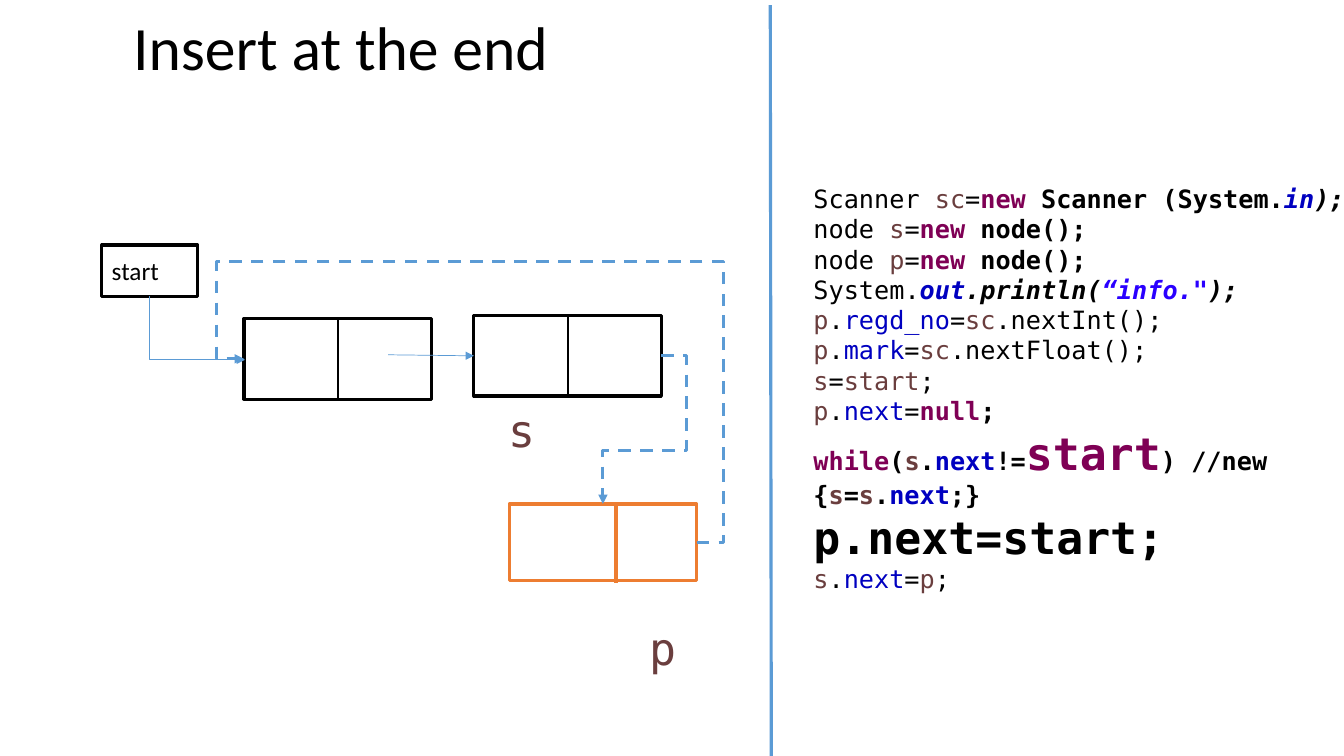
from lxml import etree
from pptx import Presentation
from pptx import util as u
from pptx.dml.color import RGBColor
from pptx.enum import dml, shapes, text
from pptx.oxml import ns

COLORS = {"black": "000000", "white": "FFFFFF", "blue": "5B9BD5", "orange": "ED7D31",
          "variable": "6A3E3E", "keyword": "7F0055", "field": "0000C0", "string": "2A00FF"}
MONO, SANS = "DejaVu Sans Mono", "Calibri"
INKS = {"x": "black", "v": "variable", "k": "keyword", "f": "field", "s": "string"}


def color(name):
    return RGBColor.from_string(COLORS[name])


class Sheet:
    def __init__(self, deck):
        self.page = deck.slides.add_slide(deck.slide_layouts[5])

    def style(self, para, font, size, ink=None):
        para.font.name, para.font.size = font, u.Pt(size)
        if ink:
            para.font.color.rgb = color(ink)

    def title(self, words, left, top, width, height):
        box = self.page.shapes.title
        box.left, box.top, box.width, box.height = map(u.Inches, (left, top, width, height))
        frame = box.text_frame
        frame.text = words
        frame.vertical_anchor = text.MSO_ANCHOR.TOP
        frame.auto_size = text.MSO_AUTO_SIZE.NONE
        para = frame.paragraphs[0]
        para.alignment, para.line_spacing = text.PP_ALIGN.LEFT, 0.9
        self.style(para, SANS, 44, "black")

    def box(self, left, top, width, height, edge="black", words=""):
        box = self.page.shapes.add_shape(
            shapes.MSO_SHAPE.RECTANGLE, *map(u.Inches, (left, top, width, height)))
        box.shadow.inherit = False
        box.fill.solid()
        box.fill.fore_color.rgb = color("white")
        box.line.color.rgb, box.line.width = color(edge), u.Pt(2.25)
        if words:
            box.text_frame.text = words
            self.style(box.text_frame.paragraphs[0], SANS, 18, "black")

    def line(self, start, end, ink, weight, arrow=False, dashed=False,
             bend=None, adjust=(), turn=0):
        kind = shapes.MSO_CONNECTOR.ELBOW if bend else shapes.MSO_CONNECTOR.STRAIGHT
        line = self.page.shapes.add_connector(kind, *map(u.Inches, start + end))
        line.line.color.rgb, line.line.width = color(ink), u.Pt(weight)
        if dashed:
            line.line.dash_style = dml.MSO_LINE.DASH
        props = line._element.spPr
        if arrow:
            etree.SubElement(props.find(ns.qn("a:ln")), ns.qn("a:tailEnd"), type="triangle")
        etree.SubElement(props, ns.qn("a:effectLst"))
        if bend:
            shape = props.find(ns.qn("a:prstGeom"))
            shape.set("prst", f"bentConnector{bend}")
            guides = shape.find(ns.qn("a:avLst"))
            for number, share in enumerate(adjust, 1):
                etree.SubElement(guides, ns.qn("a:gd"), name=f"adj{number}",
                                 fmla=f"val {round(share * 100000)}")
        if turn:
            props.find(ns.qn("a:xfrm")).set("rot", str(turn * 60000))

    def node(self, left, top, width, height, split, edge="black", weight=1.5, drop=0):
        self.box(left, top, width, height, edge)
        self.line((left + split, top + drop), (left + split, top + drop + height), edge, weight)

    def words(self, left, top, width, height, wrap=False):
        box = self.page.shapes.add_textbox(*map(u.Inches, (left, top, width, height)))
        box.text_frame.word_wrap = wrap
        return box.text_frame

    def label(self, name, left, top):
        para = self.words(left, top, 0.45, 0.64).paragraphs[0]
        para.text = name
        self.style(para, MONO, 32, "variable")

    def code(self, lines, left, top, width, height):
        frame = self.words(left, top, width, height, wrap=True)
        for index, spans in enumerate(lines):
            para = frame.add_paragraph() if index else frame.paragraphs[0]
            self.style(para, MONO, 18)
            for words, look in spans:
                span = para.add_run()
                span.text = words
                span.font.color.rgb = color(INKS[look[0]])
                if "b" in look:
                    span.font.bold = True
                if "i" in look:
                    span.font.italic = True
                if "L" in look:
                    span.font.size = u.Pt(32)


def new_node(name):
    return [("node ", "x"), (name, "v"), ("=", "x"), ("new", "kb"), (" node();", "xb")]


def read_field(field, method):
    return [("p", "v"), (".", "x"), (field, "f"), ("=", "x"), ("sc", "v"), (f".{method}();", "x")]


CODE = [
    [("Scanner ", "x"), ("sc", "v"), ("=", "x"), ("new", "kb"),
     (" Scanner (System.", "xb"), ("in", "fbi"), (");", "xbi")],
    new_node("s"),
    new_node("p"),
    [("System.", "x"), ("out", "fbi"), (".println(", "xbi"), ("“info.\"", "sbi"), (");", "xbi")],
    read_field("regd_no", "nextInt"),
    read_field("mark", "nextFloat"),
    [("s", "v"), ("=", "x"), ("start", "v"), (";", "x")],
    [("p", "v"), (".", "x"), ("next", "f"), ("=", "x"), ("null", "kb"), (";", "xb")],
    [("while", "kb"), ("(", "xb"), ("s", "vb"), (".", "xb"), ("next", "fb"),
     ("!=", "xb"), ("start", "kbL"), (") //new", "xb")],
    [("{", "xb"), ("s", "vb"), ("=", "xb"), ("s", "vb"), (".", "xb"), ("next", "fb"), (";}", "xb")],
    [("p.next=start;", "xbL")],
    [("s", "v"), (".", "x"), ("next", "f"), ("=", "x"), ("p", "v"), (";", "x")],
]

deck = Presentation()
deck.slide_width, deck.slide_height = u.Inches(13.33), u.Inches(7.5)
sheet = Sheet(deck)
sheet.title("Insert at the end", 1.22, 0.12, 11.5, 1.11)

sheet.node(2.42, 3.16, 1.86, 0.8, 0.93)
sheet.node(4.7, 3.13, 1.86, 0.8, 0.93)
sheet.node(5.05, 5, 1.86, 0.76, 1.06, "orange", 2.25, drop=0.02)
sheet.box(1.01, 2.43, 0.95, 0.51, words="start")

sheet.line((7.64, 0.05), (7.65, 7.55), "blue", 2.25)
sheet.line((3.85, 3.52), (4.7, 3.53), "blue", 0.5, arrow=True)
sheet.line((2.27, 2.78), (1.64, 3.73), "blue", 0.5, arrow=True, bend=2, turn=270)
sheet.line((6.56, 3.53), (5.98, 5), "blue", 2.25, arrow=True, dashed=True,
           bend=4, adjust=(-0.43, 0.64))
sheet.line((6.91, 5.38), (2.42, 3.56), "blue", 2.25, arrow=True, dashed=True,
           bend=5, adjust=(-0.06, 1.53, 1.06))

sheet.code(CODE, 7.97, 1.77, 6.67, 4.81)
sheet.label("p", 6.34, 6.11)
sheet.label("s", 4.94, 3.95)
deck.save("out.pptx")
